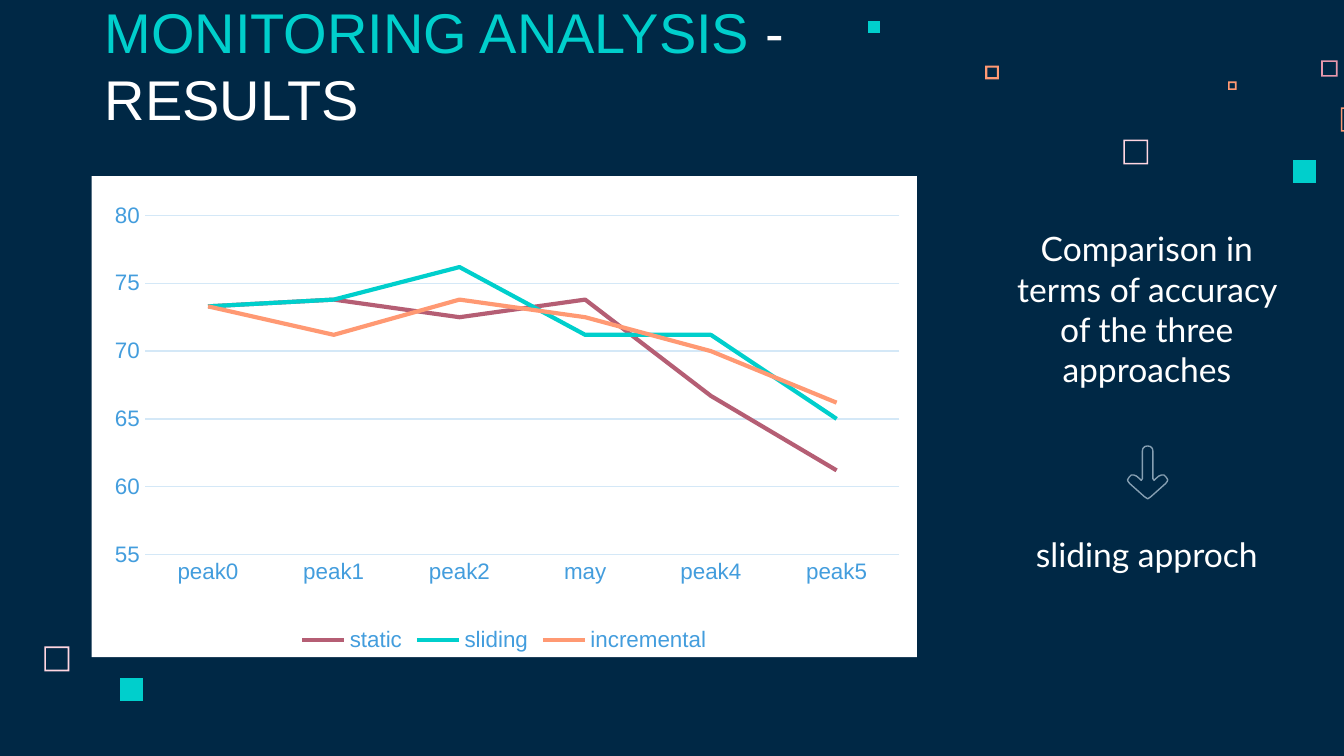
from dataclasses import dataclass

from lxml.etree import SubElement
from pptx import Presentation
from pptx.chart.data import CategoryChartData
from pptx.dml.color import RGBColor
from pptx.enum.chart import XL_CHART_TYPE as ChartType
from pptx.enum.chart import XL_LEGEND_POSITION as LegendPosition
from pptx.enum.chart import XL_TICK_MARK as TickMark
from pptx.enum.text import MSO_ANCHOR as Anchor
from pptx.enum.text import MSO_AUTO_SIZE as AutoSize
from pptx.enum.text import PP_ALIGN as Align
from pptx.oxml import parse_xml
from pptx.oxml.ns import nsdecls, qn
from pptx.util import Cm, Pt

NAVY = RGBColor(0x00, 0x28, 0x45)
WHITE = RGBColor(0xFF, 0xFF, 0xFF)
TEAL = RGBColor(0x00, 0xCF, 0xCC)
ORANGE = RGBColor(0xFF, 0x99, 0x73)
PINK = RGBColor(0xFF, 0xD6, 0xE1)
ROSE = RGBColor(0xE8, 0x98, 0xAC)
PLUM = RGBColor(0xB5, 0x5E, 0x74)
SKY = RGBColor(0x43, 0x9D, 0xDD)
GRID = RGBColor(0xD4, 0xE8, 0xF7)
STEEL = RGBColor(0x86, 0x9F, 0xB2)


@dataclass
class Square:
    left: float
    top: float
    side: float
    color: RGBColor
    border: float = 0


@dataclass
class Caption:
    top: float
    height: float
    text: str


@dataclass
class Series:
    name: str
    values: tuple[float, ...]
    color: RGBColor


SQUARES = [
    Square(21.23, 2.64, 0.47, PINK, 0.03),
    Square(24.97, 1.14, 0.31, ROSE, 0.03),
    Square(23.21, 1.54, 0.16, ORANGE, 0.03),
    Square(25.34, 2.03, 0.46, ORANGE, 0.03),
    Square(24.43, 3.02, 0.44, TEAL),
    Square(18.62, 1.24, 0.26, ORANGE, 0.04),
    Square(16.41, 0.4, 0.23, TEAL),
    Square(0.84, 12.22, 0.47, PINK, 0.03),
    Square(2.26, 12.81, 0.44, TEAL),
]
CAPTIONS = [
    Caption(4.19, 3.33, "Comparison in terms of accuracy of the three approaches"),
    Caption(9.96, 1.02, "sliding approch"),
]
CATEGORIES = ("peak0", "peak1", "peak2", "may", "peak4", "peak5")
SERIES = [
    Series("static", (73.3, 73.8, 72.5, 73.8, 66.7, 61.2), PLUM),
    Series("sliding", (73.3, 73.8, 76.2, 71.2, 71.2, 65), TEAL),
    Series("incremental", (73.3, 71.2, 73.8, 72.5, 70, 66.2), ORANGE),
]
PLOT_LAYOUT = {"x": 0.065, "y": 0.082, "w": 0.914, "h": 0.705}
ARROW_CENTER = 21.69
ARROW_HALF = [
    (0, 8.43), (0.05, 8.44), (0.09, 8.48), (0.1, 8.53), (0.1, 9.05), (0.12, 9.08),
    (0.14, 9.06), (0.21, 9), (0.26, 8.98), (0.31, 8.98), (0.35, 9.02), (0.38, 9.07),
    (0.37, 9.1), (0.34, 9.14), (0.06, 9.39), (0, 9.43),
]


def to_emu(points: list) -> list:
    return [(Cm(x), Cm(y)) for x, y in points]


def square_corners(square: Square, inset: float) -> list:
    left, top = square.left + inset, square.top + inset
    right = square.left + square.side - inset
    bottom = square.top + square.side - inset
    return to_emu([(left, top), (right, top), (right, bottom), (left, bottom)])


def draw_square(slide, square: Square) -> None:
    outer = square_corners(square, 0)
    builder = slide.shapes.build_freeform(*outer[0], scale=1.0)
    builder.add_line_segments(outer[1:], close=True)
    if square.border:
        inner = square_corners(square, square.border)[::-1]
        builder.move_to(*inner[0])
        builder.add_line_segments(inner[1:], close=True)
    shape = builder.convert_to_shape()
    shape.shadow.inherit = False
    shape.fill.solid()
    shape.fill.fore_color.rgb = square.color
    shape.line.fill.background()


def draw_arrow(slide) -> None:
    right = [(ARROW_CENTER + x, y) for x, y in ARROW_HALF]
    left = [(ARROW_CENTER - x, y) for x, y in ARROW_HALF[-2:0:-1]]
    outline = to_emu(right + left)
    builder = slide.shapes.build_freeform(*outline[0], scale=1.0)
    builder.add_line_segments(outline[1:], close=True)
    shape = builder.convert_to_shape()
    shape.shadow.inherit = False
    shape.fill.background()
    shape.line.color.rgb = STEEL
    shape.line.width = Pt(0.75)


def add_span(para, text: str, font: str, size: float, color: RGBColor) -> None:
    span = para.add_run()
    span.text = text
    span.font.name = font
    span.font.size = Pt(size)
    span.font.color.rgb = color


def draw_title(slide) -> None:
    title = slide.shapes.title
    title.left, title.top, title.width, title.height = Cm(1.73), Cm(1.14), Cm(17.7), Cm(1.6)
    box = title.text_frame
    box.auto_size = AutoSize.NONE
    box.word_wrap = True
    box.vertical_anchor = Anchor.BOTTOM
    box.margin_left = box.margin_right = box.margin_top = box.margin_bottom = Cm(0.25)
    para = box.paragraphs[0]
    para.alignment = Align.LEFT
    add_span(para, "MONITORING ANALYSIS ", "Arial", 30, TEAL)
    add_span(para, "- RESULTS", "Arial", 30, WHITE)


def draw_caption(slide, caption: Caption) -> None:
    box = slide.shapes.add_textbox(Cm(18.69), Cm(caption.top), Cm(5.97), Cm(caption.height)).text_frame
    box.word_wrap = True
    box.auto_size = AutoSize.SHAPE_TO_FIT_TEXT
    para = box.paragraphs[0]
    para.alignment = Align.CENTER
    add_span(para, caption.text, "Lato", 18, WHITE)


def style_font(font) -> None:
    font.name = "Arial"
    font.size = Pt(12)
    font.color.rgb = SKY


def white_fill():
    return parse_xml(
        f'<c:spPr {nsdecls("c", "a")}><a:solidFill><a:srgbClr val="{WHITE}"/></a:solidFill>'
        "<a:ln><a:noFill/></a:ln></c:spPr>"
    )


def fix_plot_area(chart) -> None:
    chart_node = chart._chartSpace.find(qn("c:chart"))
    plot_area = chart_node.find(qn("c:plotArea"))
    for old in plot_area.findall(qn("c:layout")):
        plot_area.remove(old)
    layout = parse_xml(f'<c:layout {nsdecls("c")}><c:manualLayout/></c:layout>')
    settings = {"layoutTarget": "inner", "xMode": "edge", "yMode": "edge", **PLOT_LAYOUT}
    for name, value in settings.items():
        SubElement(layout[0], qn(f"c:{name}")).set("val", str(value))
    plot_area.insert(0, layout)
    plot_area.append(white_fill())
    chart_node.addnext(white_fill())


def draw_chart(slide) -> None:
    data = CategoryChartData()
    data.categories = CATEGORIES
    for series in SERIES:
        data.add_series(series.name, series.values)
    chart = slide.shapes.add_chart(ChartType.LINE, Cm(1.73), Cm(3.33), Cm(15.6), Cm(9.09), data).chart
    chart.has_title = False
    style_font(chart.font)
    chart.has_legend = True
    chart.legend.position = LegendPosition.BOTTOM
    chart.legend.include_in_layout = False
    style_font(chart.legend.font)
    chart.plots[0].vary_by_categories = False
    for line, series in zip(chart.plots[0].series, SERIES):
        line.smooth = False
        line.format.line.color.rgb = series.color
        line.format.line.width = Pt(2.25)
    values, categories = chart.value_axis, chart.category_axis
    for axis in (values, categories):
        axis.major_tick_mark = axis.minor_tick_mark = TickMark.NONE
        style_font(axis.tick_labels.font)
    values.minimum_scale, values.maximum_scale, values.major_unit = 55, 80, 5
    values.format.line.fill.background()
    for rule in (values.major_gridlines.format.line, categories.format.line):
        rule.color.rgb = GRID
        rule.width = Pt(0.75)
    fix_plot_area(chart)


def main() -> None:
    deck = Presentation()
    deck.slide_width, deck.slide_height = Cm(25.4), Cm(14.29)
    page = deck.slides.add_slide(deck.slide_layouts[5])
    page.background.fill.solid()
    page.background.fill.fore_color.rgb = NAVY
    for square in SQUARES:
        draw_square(page, square)
    draw_title(page)
    for caption in CAPTIONS:
        draw_caption(page, caption)
    draw_arrow(page)
    draw_chart(page)
    deck.save("out.pptx")


if __name__ == "__main__":
    main()
